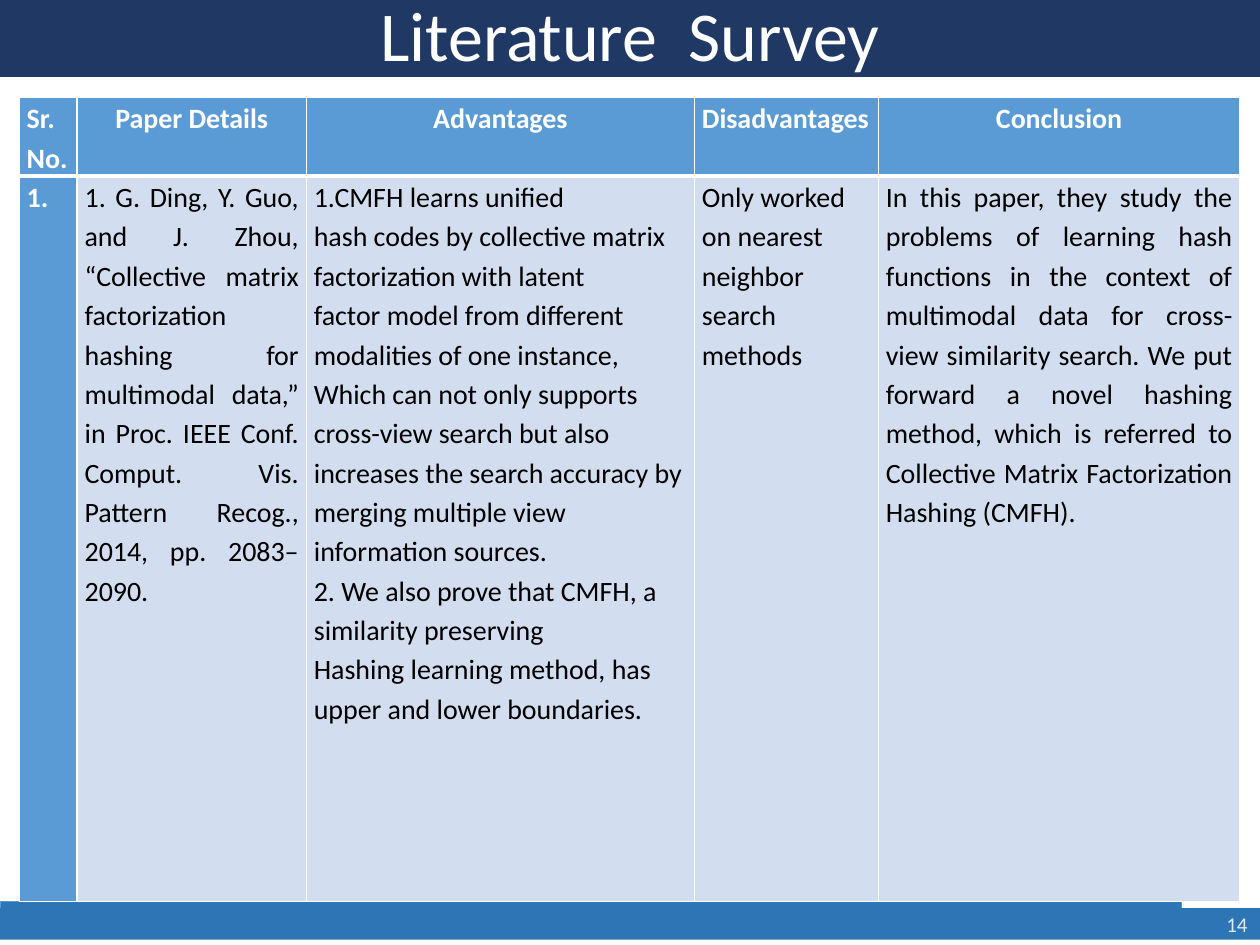
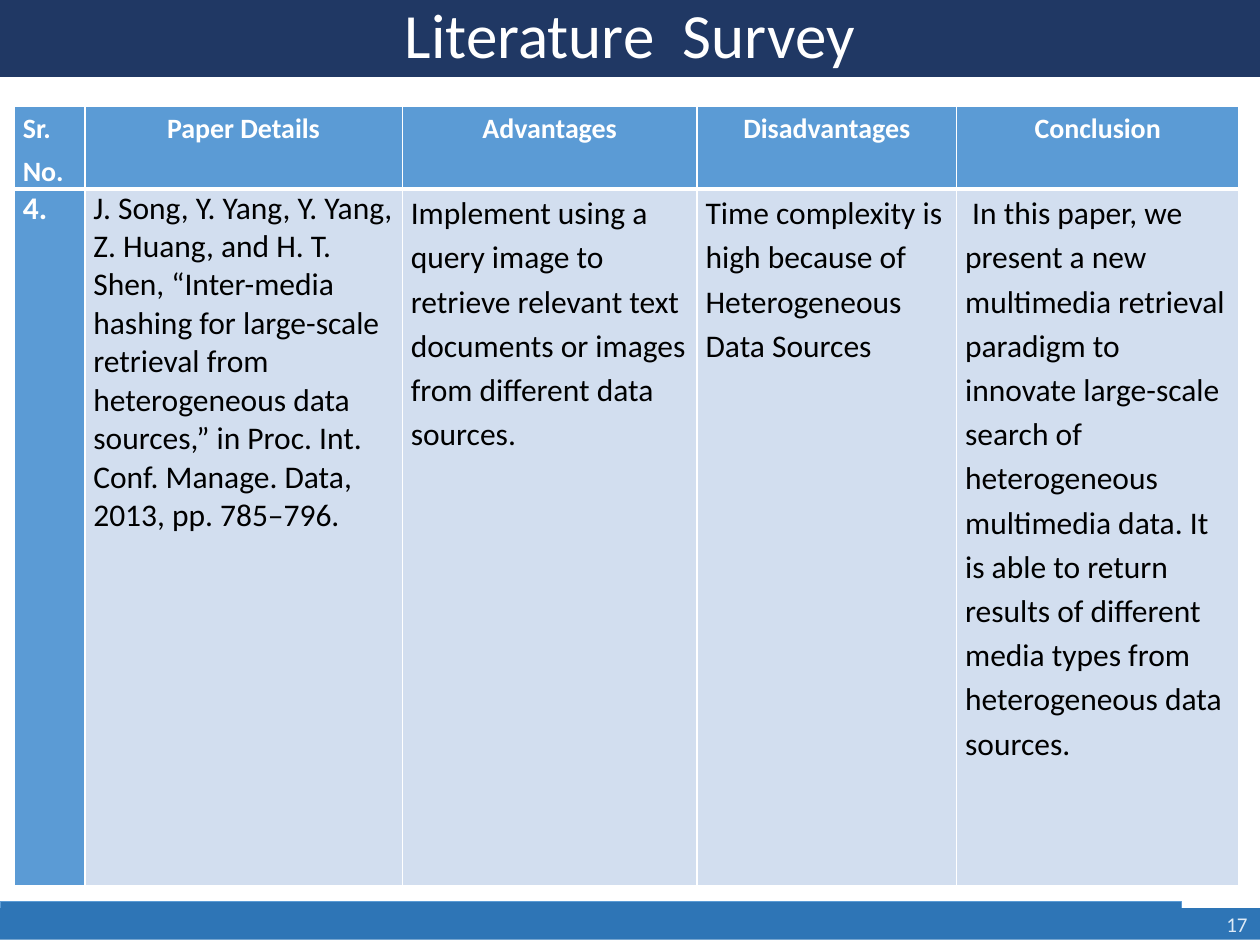
import dataclasses

import pptx
import pptx.dml.color
import pptx.enum.shapes
import pptx.enum.text
import pptx.oxml
import pptx.oxml.ns
import pptx.util

Pt = pptx.util.Pt
RGBColor = pptx.dml.color.RGBColor
ALIGN = pptx.enum.text.PP_ALIGN

NAVY = RGBColor(0x20, 0x38, 0x64)
BLUE = RGBColor(0x2E, 0x75, 0xB6)
SKY = RGBColor(0x5B, 0x9B, 0xD5)
PALE = RGBColor(0xD2, 0xDE, 0xEF)
ICE = RGBColor(0xDE, 0xEB, 0xF7)
WHITE = RGBColor(0xFF, 0xFF, 0xFF)
BLACK = RGBColor(0x00, 0x00, 0x00)

FONT = "Calibri"
PAGE_WIDTH, PAGE_HEIGHT = 720, 540
HEADINGS = ["Paper Details", "Advantages", "Disadvantages", "Conclusion"]


@dataclasses.dataclass
class Style:
    """How the paragraphs of one block of text are set."""
    size: float
    color: RGBColor = BLACK
    bold: bool = False
    align: ALIGN = ALIGN.LEFT
    line_spacing: float = 1.15
    space_before: float = 0


def write(frame, paragraphs, style):
    """Fill a text frame with one styled run per paragraph."""
    for index, text in enumerate(paragraphs):
        paragraph = frame.add_paragraph() if index else frame.paragraphs[0]
        paragraph.alignment = style.align
        paragraph.line_spacing = style.line_spacing
        paragraph.space_before = Pt(style.space_before)
        run = paragraph.add_run()
        run.text = text
        run.font.name = FONT
        run.font.size = Pt(style.size)
        run.font.bold = style.bold
        run.font.color.rgb = style.color


def add_band(slide, top, width, height, fill, outline=None):
    """Add a band that starts at the left edge of the slide."""
    band = slide.shapes.add_shape(pptx.enum.shapes.MSO_SHAPE.RECTANGLE,
                                  0, Pt(top), Pt(width), Pt(height))
    band.shadow.inherit = False
    band.fill.solid()
    band.fill.fore_color.rgb = fill
    if outline is None:
        band.line.fill.background()
    else:
        band.line.color.rgb = outline
        band.line.width = Pt(0.75)
    band.text_frame.word_wrap = True
    band.text_frame.vertical_anchor = pptx.enum.text.MSO_ANCHOR.MIDDLE
    return band


def add_frame(slide, title_size, page_number):
    """Add the title band, the bottom bands and the page number."""
    add_band(slide, 515, 675, 21.5, BLUE, SKY)
    title = add_band(slide, 0, PAGE_WIDTH, 44, NAVY)
    write(title.text_frame, ["Literature  Survey"],
          Style(title_size, WHITE, align=ALIGN.CENTER, line_spacing=0.9))
    footer = add_band(slide, 519, PAGE_WIDTH, 18, BLUE)
    write(footer.text_frame, [page_number],
          Style(12, ICE, align=ALIGN.RIGHT, line_spacing=1))


def add_borders(cell, top, bottom):
    """Draw white borders around a cell."""
    properties = cell._tc.get_or_add_tcPr()
    for side, width in (("L", 1), ("R", 1), ("T", top), ("B", bottom)):
        properties.append(pptx.oxml.parse_xml(
            f'<a:ln{side} {pptx.oxml.ns.nsdecls("a")} w="{Pt(width)}">'
            f'<a:solidFill><a:srgbClr val="{WHITE}"/></a:solidFill></a:ln{side}>'))


def add_survey_table(slide, left, top, widths, heights, inset, rows):
    """Add a survey table whose rows hold (paragraphs, style) pairs."""
    table = slide.shapes.add_table(len(rows), len(widths), Pt(left), Pt(top),
                                   Pt(sum(widths)), Pt(sum(heights))).table
    for column, width in zip(table.columns, widths):
        column.width = Pt(width)
    for row, height in zip(table.rows, heights):
        row.height = Pt(height)
    for r, entries in enumerate(rows):
        for c, (paragraphs, style) in enumerate(entries):
            cell = table.cell(r, c)
            cell.margin_left = cell.margin_right = Pt(inset)
            cell.margin_top = cell.margin_bottom = 0
            add_borders(cell, *((1, 3) if r == 0 else (3, 1)))
            cell.fill.solid()
            cell.fill.fore_color.rgb = SKY if r == 0 or c == 0 else PALE
            write(cell.text_frame, paragraphs, style)


def heading_row(serial, left_style, centred_columns):
    """Return the heading cells, centring the named columns."""
    centred = dataclasses.replace(left_style, align=ALIGN.CENTER)
    return [(serial, left_style)] + [
        ([heading], centred if heading in centred_columns else left_style)
        for heading in HEADINGS]


def add_matrix_factorization_slide(deck):
    """Add the survey entry on collective matrix factorization."""
    slide = deck.slides.add_slide(deck.slide_layouts[6])
    add_frame(slide, 40, "14")
    heading = Style(16, WHITE, bold=True)
    body = Style(16)
    justified = Style(16, align=ALIGN.JUSTIFY)
    paper = [
        (["1."], heading),
        (["1. G. Ding, Y. Guo, and J. Zhou, “Collective matrix factorization "
          "hashing for multimodal data,” in Proc. IEEE Conf. Comput. Vis. "
          "Pattern Recog., 2014, pp. 2083–2090."], justified),
        (["1.CMFH learns unified",
          "hash codes by collective matrix factorization with latent",
          "factor model from different modalities of one instance,",
          "Which can not only supports cross-view search but also increases "
          "the search accuracy by merging multiple view information sources.",
          "2. We also prove that CMFH, a similarity preserving",
          "Hashing learning method, has upper and lower boundaries."], body),
        (["Only worked on nearest neighbor search methods"], body),
        (["In this paper, they study the problems of learning hash functions "
          "in the context of multimodal data for cross-view similarity search. "
          "We put forward a novel hashing method, which is referred to "
          "Collective Matrix Factorization Hashing (CMFH)."], justified),
    ]
    centred = [name for name in HEADINGS if name != "Disadvantages"]
    add_survey_table(slide, 11, 55.5, [33.1, 131, 221.8, 105.1, 206.6],
                     [44.5, 414.7], 4.3,
                     [heading_row(["Sr.No."], heading, centred), paper])


def add_inter_media_slide(deck):
    """Add the survey entry on inter-media hashing."""
    slide = deck.slides.add_slide(deck.slide_layouts[6])
    add_frame(slide, 36, "17")
    heading = Style(16, WHITE, bold=True, space_before=2)
    body = Style(18, space_before=2)
    paper = [
        (["4."], Style(18, WHITE, bold=True, line_spacing=1)),
        (["J. Song, Y. Yang, Y. Yang, Z. Huang, and H. T. Shen, “Inter-media "
          "hashing for large-scale retrieval from heterogeneous data "
          "sources,” in Proc. Int. Conf. Manage. Data, 2013, pp. 785–796."],
         Style(18, line_spacing=1)),
        (["Implement using a query image to retrieve relevant text documents "
          "or images from different data sources."], body),
        (["Time complexity is high because of Heterogeneous Data Sources"],
         body),
        ([" In this paper, we present a new multimedia retrieval paradigm to "
          "innovate large-scale search of heterogeneous multimedia data. It is "
          "able to return results of different media types from heterogeneous "
          "data sources."], body),
    ]
    add_survey_table(slide, 8.2, 61, [40.3, 181.4, 168.5, 148.3, 161.3],
                     [46.5, 398.2], 4.9,
                     [heading_row(["Sr.", "No."], heading, HEADINGS), paper])


def main():
    """Build and save the two survey slides."""
    deck = pptx.Presentation()
    deck.slide_width, deck.slide_height = Pt(PAGE_WIDTH), Pt(PAGE_HEIGHT)
    add_matrix_factorization_slide(deck)
    add_inter_media_slide(deck)
    deck.save("out.pptx")


if __name__ == "__main__":
    main()
